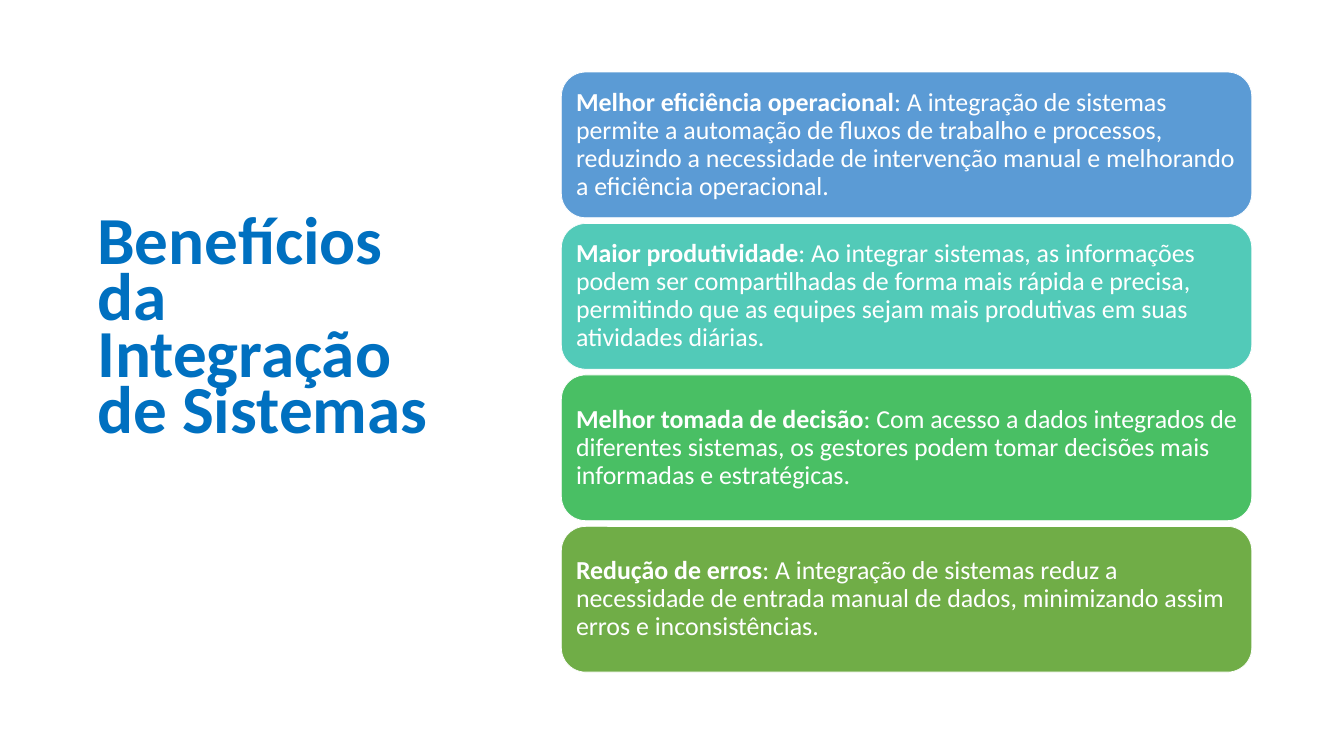
from dataclasses import dataclass

from pptx import Presentation
from pptx.dml.color import RGBColor
from pptx.enum.shapes import MSO_SHAPE
from pptx.enum.text import MSO_ANCHOR, MSO_AUTO_SIZE, PP_ALIGN
from pptx.util import Inches, Pt

ROUNDED = MSO_SHAPE.ROUNDED_RECTANGLE
MIDDLE = MSO_ANCHOR.MIDDLE
NO_FIT = MSO_AUTO_SIZE.NONE
LEFT = PP_ALIGN.LEFT
TITLE_ONLY = 5

SLIDE_W, SLIDE_H = 26.67, 15
CARD_LEFT, CARD_TOP = 11.14, 1.43
CARD_W, CARD_H, CARD_GAP = 13.7, 2.89, 0.115
CARD_INSET = 0.15


@dataclass(frozen=True)
class Theme:
    """Colours and type of the slide."""
    font: str = "Calibri"
    title_size: int = 96
    body_size: int = 37
    title: str = "0070C0"
    white: str = "FFFFFF"
    cards: tuple = ("5B9BD5", "52CAB8", "49BF64", "70AD47")


THEME = Theme()
TITLE = "Benefícios da Integração de Sistemas"
BENEFITS = [
    ("Melhor eficiência operacional",
     "A integração de sistemas permite a automação de fluxos de trabalho e "
     "processos, reduzindo a necessidade de intervenção manual e melhorando "
     "a eficiência operacional."),
    ("Maior produtividade",
     "Ao integrar sistemas, as informações podem ser compartilhadas de forma "
     "mais rápida e precisa, permitindo que as equipes sejam mais produtivas "
     "em suas atividades diárias."),
    ("Melhor tomada de decisão",
     "Com acesso a dados integrados de diferentes sistemas, os gestores podem "
     "tomar decisões mais informadas e estratégicas."),
    ("Redução de erros",
     "A integração de sistemas reduz a necessidade de entrada manual de "
     "dados, minimizando assim erros e inconsistências."),
]


def style_paragraph(p, size, color, line_spacing):
    """Set the font, alignment and line spacing of a paragraph."""
    p.alignment = LEFT
    p.line_spacing = line_spacing
    p.font.name = THEME.font
    p.font.size = Pt(size)
    p.font.color.rgb = RGBColor.from_string(color)


def set_title(slide, text):
    """Place the title in the left column, a little above the middle."""
    sp = slide.shapes.title
    sp.left, sp.top = Inches(1.83), Inches(1.22)
    sp.width, sp.height = Inches(7.38), Inches(12.18)
    tf = sp.text_frame
    tf.text = text
    tf.word_wrap = True
    tf.auto_size = NO_FIT
    tf.vertical_anchor = MIDDLE
    tf.margin_bottom = Inches(1.5)
    p = tf.paragraphs[0]
    style_paragraph(p, THEME.title_size, THEME.title, 0.7)
    p.font.bold = True


def add_card(slide, row, color, heading, detail):
    """Add one rounded benefit card on the given row."""
    top = CARD_TOP + row * (CARD_H + CARD_GAP)
    sp = slide.shapes.add_shape(ROUNDED, Inches(CARD_LEFT), Inches(top),
                                Inches(CARD_W), Inches(CARD_H))
    sp.shadow.inherit = False
    sp.fill.solid()
    sp.fill.fore_color.rgb = RGBColor.from_string(color)
    sp.line.color.rgb = RGBColor.from_string(THEME.white)
    sp.line.width = Pt(1)
    tf = sp.text_frame
    tf.word_wrap = True
    tf.vertical_anchor = MIDDLE
    tf.margin_left = tf.margin_right = Inches(CARD_INSET)
    tf.margin_top = tf.margin_bottom = Inches(CARD_INSET)
    p = tf.paragraphs[0]
    style_paragraph(p, THEME.body_size, THEME.white, 0.9)
    for text, bold in ((heading, True), (f": {detail}", False)):
        r = p.add_run()
        r.text = text
        r.font.bold = bold


def main():
    """Build and save the slide."""
    prs = Presentation()
    prs.slide_width, prs.slide_height = Inches(SLIDE_W), Inches(SLIDE_H)
    s = prs.slides.add_slide(prs.slide_layouts[TITLE_ONLY])
    set_title(s, TITLE)
    for row, (color, benefit) in enumerate(zip(THEME.cards, BENEFITS)):
        add_card(s, row, color, *benefit)
    prs.save("out.pptx")


if __name__ == "__main__":
    main()
